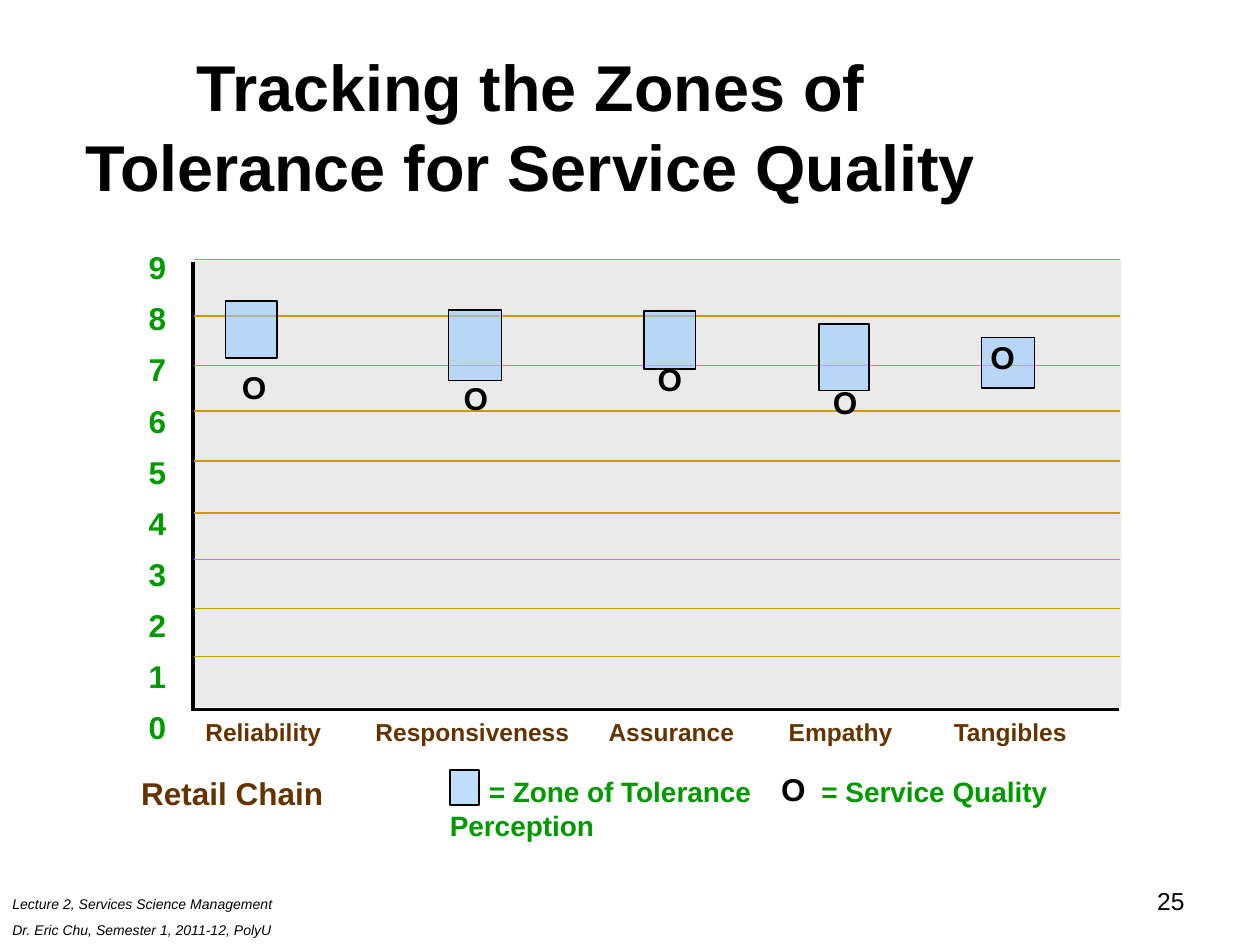
import pptx
import pptx.util
import pptx.dml.color
import pptx.enum.shapes
import pptx.enum.text
import pptx.oxml
import pptx.oxml.ns
import lxml.etree

Inches = pptx.util.Inches
Pt = pptx.util.Pt
RGB = pptx.dml.color.RGBColor.from_string
ALIGN = pptx.enum.text.PP_ALIGN
ANCHOR = pptx.enum.text.MSO_ANCHOR
SHAPE = pptx.enum.shapes.MSO_SHAPE
qn = pptx.oxml.ns.qn

COLORS = {
    "black": "000000",
    "plot": "DDDDDD",
    "zone": "99CCFF",
    "grid": "CC9900",
    "brown": "663300",
    "green": "009900",
}

deck = pptx.Presentation()
deck.slide_width = Inches(10)
deck.slide_height = Inches(7.5)
slide = deck.slides.add_slide(deck.slide_layouts[5])


def write(text, at, holder=None, size=18, color="black", bold=False, italic=False,
          align=ALIGN.LEFT, anchor=ANCHOR.TOP, insets=(0.05, 0.02), wrap=True,
          before=0, after=0, spacing=1.0, tabs=()):
    left, top, width, height = map(Inches, at)
    if holder is None:
        holder = slide.shapes.add_textbox(left, top, width, height)
    else:
        holder.left, holder.top, holder.width, holder.height = left, top, width, height
    frame = holder.text_frame
    frame.auto_size = pptx.enum.text.MSO_AUTO_SIZE.NONE
    frame.word_wrap = wrap
    frame.vertical_anchor = anchor
    frame.margin_left = frame.margin_right = Inches(insets[0])
    frame.margin_top = frame.margin_bottom = Inches(insets[1])
    for index, line in enumerate(text.split("\n")):
        paragraph = frame.add_paragraph() if index else frame.paragraphs[0]
        if tabs:
            stops = lxml.etree.SubElement(paragraph._p.get_or_add_pPr(), qn("a:tabLst"))
            for stop in tabs:
                lxml.etree.SubElement(stops, qn("a:tab"), pos=str(Inches(stop)), algn="l")
        paragraph.alignment = align
        paragraph.line_spacing = spacing
        paragraph.space_before = Pt(before if index else 0)
        paragraph.space_after = Pt(after)
        run = paragraph.add_run()
        run.text = line
        run.font.name = "Arial"
        run.font.size = Pt(size)
        run.font.bold = bold
        run.font.italic = italic
        run.font.color.rgb = RGB(COLORS[color])


def draw_box(at, color, outlined=True):
    box = slide.shapes.add_shape(SHAPE.RECTANGLE, *map(Inches, at))
    box.shadow.inherit = False
    box.fill.solid()
    box.fill.fore_color.rgb = RGB(COLORS[color])
    tint = box.fill._xPr.find(qn("a:solidFill"))[0]
    lxml.etree.SubElement(tint, qn("a:alpha"), val="61000")
    if outlined:
        box.line.color.rgb = RGB(COLORS["black"])
        box.line.width = Pt(1)
    else:
        box.line.fill.background()


write("Tracking the Zones of Tolerance for Service Quality", (0.25, 0.47, 7.92, 1.03),
      holder=slide.shapes.title, size=37, bold=True, align=ALIGN.CENTER,
      anchor=ANCHOR.MIDDLE, insets=(0.1, 0.05), spacing=1.04)

draw_box((1.54, 2.07, 7.36, 3.54), "plot", outlined=False)

axes = [(1.53, 2.08, 1.53, 5.64, "black", 2), (1.54, 5.63, 8.88, 5.63, "black", 2)]
grid_levels = [2.06, 2.51, 2.9, 3.26, 3.66, 4.07, 4.44, 4.83, 5.21]
gridlines = [(1.54, level, 8.89, level, "grid", 1) for level in grid_levels]
for x1, y1, x2, y2, color, weight in axes + gridlines:
    rule = slide.shapes.add_connector(
        pptx.enum.shapes.MSO_CONNECTOR.STRAIGHT, *map(Inches, (x1, y1, x2, y2)))
    rule.line.color.rgb = RGB(COLORS[color])
    rule.line.width = Pt(weight)
    lxml.etree.SubElement(rule._element.spPr, qn("a:effectLst"))

write("\n".join(str(score) for score in range(9, -1, -1)), (1.06, 1.95, 0.46, 3.89),
      color="green", bold=True, insets=(0.12, 0.02), after=7.6)
write("Reliability\tResponsiveness\tAssurance\tEmpathy\tTangibles", (1.58, 5.67, 7.2, 0.27),
      size=14, color="brown", bold=True, tabs=(1.35, 3.2, 4.63, 5.94))

zones = [
    (1.79, 2.39, 0.41, 0.45),
    (3.56, 2.46, 0.42, 0.56),
    (5.11, 2.47, 0.41, 0.46),
    (6.5, 2.57, 0.4, 0.53),
    (7.79, 2.68, 0.42, 0.4),
]
legend_zone = (3.57, 6.11, 0.23, 0.28)
for zone in zones + [legend_zone]:
    draw_box(zone, "zone")

perceptions = [(1.87, 2.9), (3.63, 2.99), (5.17, 2.84), (6.56, 3.02), (7.81, 2.66)]
legend_perception = (6.15, 6.09)
for left, top in perceptions + [legend_perception]:
    write("O", (left, top, 0.3, 0.34), bold=True, wrap=False)

write("Retail Chain", (1.07, 6.12, 1.55, 0.33), color="brown", bold=True, wrap=False)
write("\t= Zone of Tolerance\t= Service Quality Perception", (3.52, 6.13, 5.8, 0.58),
      size=16, color="green", bold=True, tabs=(0.31, 2.95))

write("Lecture 2, Services Science Management\nDr. Eric Chu, Semester 1, 2011-12, PolyU",
      (0, 7.06, 2.4, 0.44), size=8, italic=True, insets=(0.1, 0.05), before=5)
write("25", (7.17, 6.98, 2.33, 0.52), size=14, align=ALIGN.RIGHT, insets=(0.1, 0.05))

deck.save("out.pptx")
